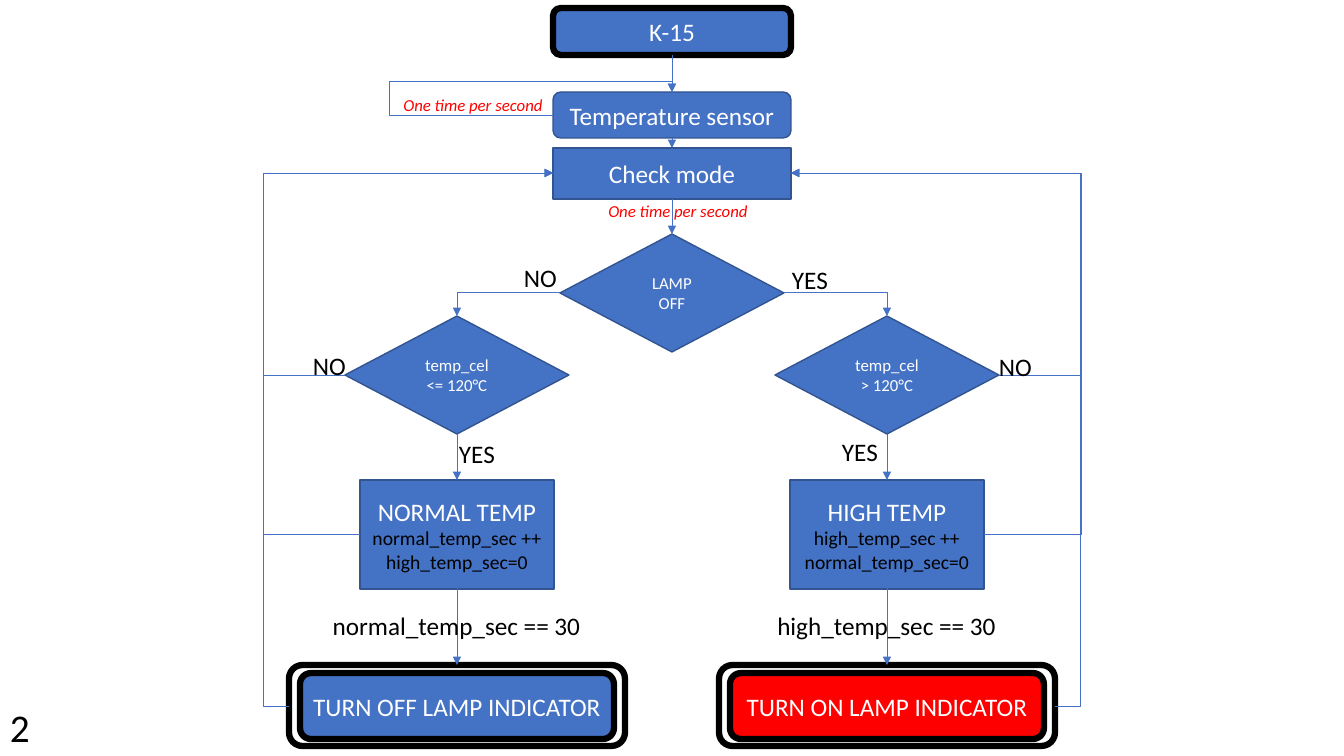
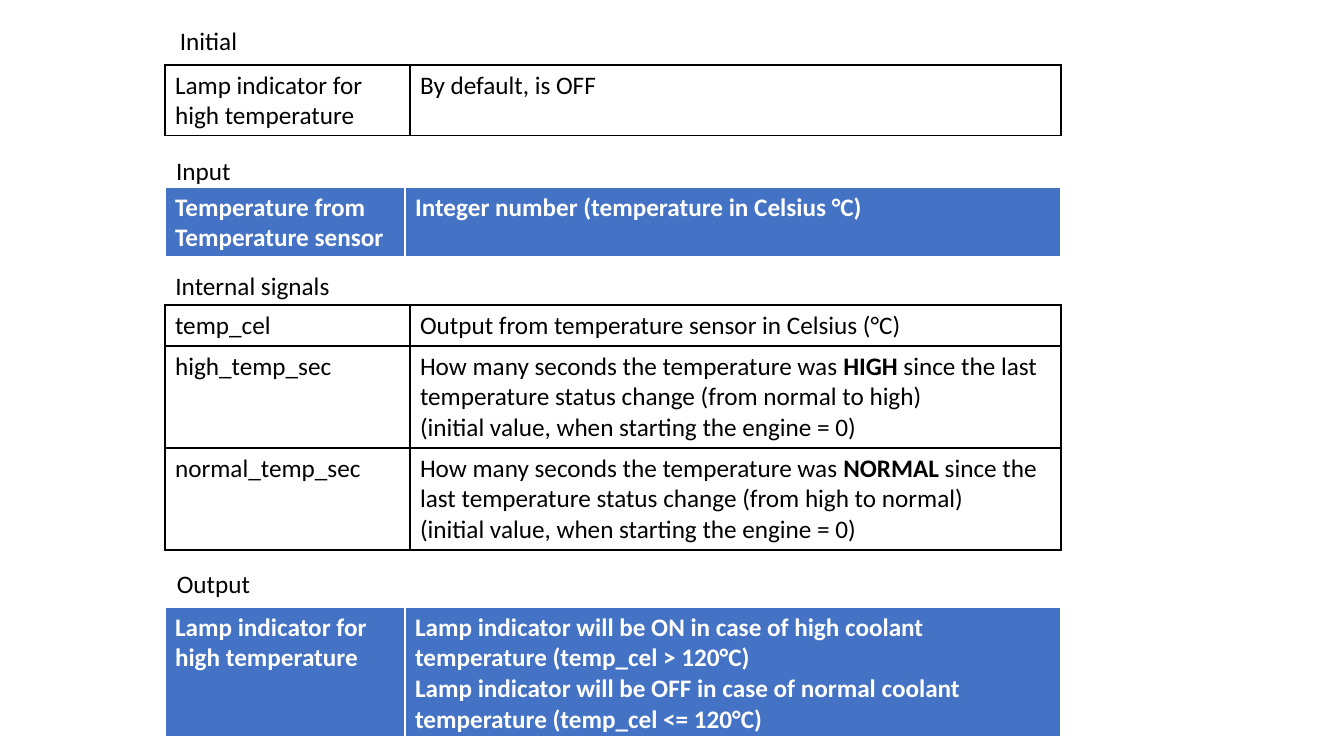
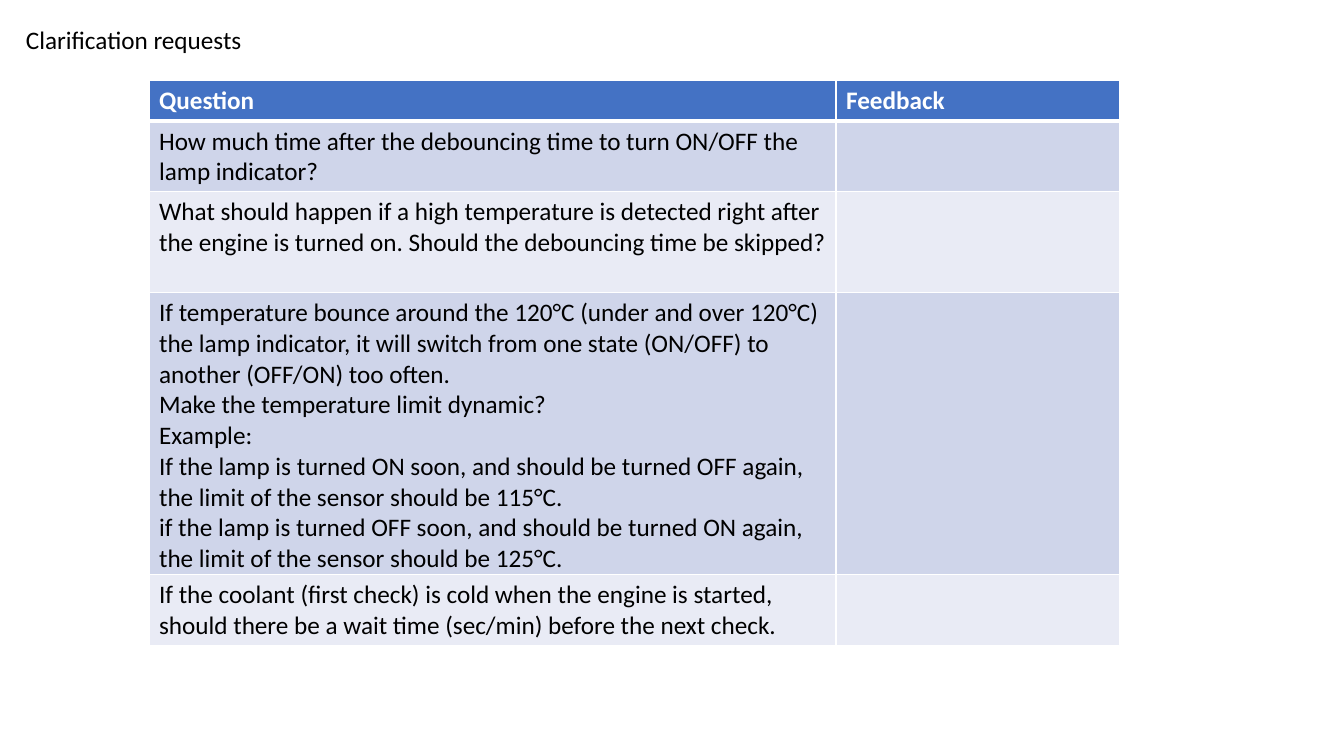
"""Build three slides on the high-temperature lamp: flowchart, signals and questions."""
from dataclasses import dataclass

from lxml import etree
from pptx import Presentation
from pptx.dml.color import RGBColor
from pptx.enum.shapes import MSO_CONNECTOR, MSO_SHAPE
from pptx.enum.text import MSO_ANCHOR, MSO_AUTO_SIZE, PP_ALIGN
from pptx.oxml.ns import qn
from pptx.util import Emu, Pt

ELBOW, STRAIGHT = MSO_CONNECTOR.ELBOW, MSO_CONNECTOR.STRAIGHT
RECTANGLE, ROUNDED = MSO_SHAPE.RECTANGLE, MSO_SHAPE.ROUNDED_RECTANGLE
DECISION = MSO_SHAPE.FLOWCHART_DECISION
MIDDLE, TOP = MSO_ANCHOR.MIDDLE, MSO_ANCHOR.TOP
CENTRED, LEFT = PP_ALIGN.CENTER, PP_ALIGN.LEFT
FIT_SHAPE = MSO_AUTO_SIZE.SHAPE_TO_FIT_TEXT
EMU_PER_PIXEL = 914400 / 100.8
SLIDE_SIZE = (1344, 756)


@dataclass(frozen=True)
class Theme:
    """Colours, font, type sizes and line widths shared by all slides."""
    font: str = "Calibri"
    black: str = "000000"
    white: str = "FFFFFF"
    red: str = "FF0000"
    blue: str = "4472C4"
    outline: str = "325491"
    band_dark: str = "CFD5EA"
    band_light: str = "E9EBF5"
    body: int = 18
    detail: int = 14
    small: int = 12
    number: int = 28
    thin: float = 0.5
    regular: float = 1
    rule: float = 3
    heavy: float = 4.5


THEME = Theme()


@dataclass(frozen=True)
class TextStyle:
    """Size, colour and emphasis of a piece of text."""
    size: int = THEME.body
    colour: str = THEME.black
    bold: bool = False
    italic: bool = False


BODY = TextStyle()
ON_BLUE = TextStyle(colour=THEME.white)
HEADER = TextStyle(colour=THEME.white, bold=True)
DETAIL = TextStyle(size=THEME.detail)
CONDITION = TextStyle(size=THEME.small, colour=THEME.white)
TIMING = TextStyle(size=THEME.small, colour=THEME.red, italic=True)
SLIDE_NUMBER = TextStyle(size=THEME.number)


@dataclass(frozen=True)
class Branch:
    """One side of the flowchart; side is -1 for left and 1 for right."""
    side: int
    condition: str
    state: str
    counters: str
    trigger: str
    result: str
    result_fill: str
    answer: tuple
    no_at: tuple
    yes_at: tuple


BRANCHES = (
    Branch(-1, "temp_cel\n<= 120°C", "NORMAL TEMP", "normal_temp_sec ++\nhigh_temp_sec=0",
           "normal_temp_sec == 30", "TURN OFF LAMP INDICATOR", THEME.blue,
           ("NO", 514, 257), (303, 345), (449, 433)),
    Branch(1, "temp_cel\n> 120°C", "HIGH TEMP", "high_temp_sec ++\nnormal_temp_sec=0",
           "high_temp_sec == 30", "TURN ON LAMP INDICATOR", THEME.red,
           ("YES", 782, 259), (989, 346), (832, 431)),
)

CENTRE = 672
COLUMN_OFFSET = 215
LOOP_OFFSET = 409
STEP_WIDTH = 238
DECISION_SIZE = (224, 118)
STATE_SIZE = (194, 109)
FRAME_SIZE = (336, 81)
RESULT_SIZE = (314, 66)
CHECK_MIDDLE = 173

DEFINITION_LEFT = 165
PLAIN_COLUMNS = (245, 651)
BANNER_COLUMNS = (240, 656)


def px(length):
    """Turn pixels into EMU."""
    return Emu(round(length * EMU_PER_PIXEL))


def rgb(colour):
    """Turn a hex string into a colour."""
    return RGBColor.from_string(colour)


def write_text(text_frame, text, styles, alignment):
    """Write one style per line, repeating the last; asterisks enclose bold words."""
    text_frame.text = text
    for index, paragraph in enumerate(text_frame.paragraphs):
        style = styles[min(index, len(styles) - 1)]
        pieces = paragraph.text.split("*")
        paragraph.text = pieces[0]
        paragraph.alignment = alignment
        for piece in pieces[1:]:
            paragraph.add_run().text = piece
        for position, run in enumerate(paragraph.runs):
            font = run.font
            font.name, font.size = THEME.font, Pt(style.size)
            font.color.rgb = rgb(style.colour)
            font.bold = style.bold or position % 2 == 1
            font.italic = style.italic


def add_label(slide, left, top, width, height, text, style=BODY, alignment=CENTRED, wrap=True):
    """Add a text box."""
    text_frame = slide.shapes.add_textbox(px(left), px(top), px(width), px(height)).text_frame
    text_frame.word_wrap = wrap
    text_frame.auto_size = FIT_SHAPE
    write_text(text_frame, text, (style,), alignment)


def add_node(slide, kind, centre, top, size, text="", styles=(ON_BLUE,), fill=THEME.blue,
             line=(THEME.outline, THEME.regular)):
    """Add a flowchart shape centred on a column."""
    width, height = size
    shape = slide.shapes.add_shape(kind, px(centre - width / 2), px(top), px(width), px(height))
    shape.shadow.inherit = False
    if fill:
        shape.fill.solid()
        shape.fill.fore_color.rgb = rgb(fill)
    else:
        shape.fill.background()
    colour, weight = line
    shape.line.color.rgb = rgb(colour)
    shape.line.width = Pt(weight)
    shape.text_frame.vertical_anchor = MIDDLE
    if text:
        write_text(shape.text_frame, text, styles, CENTRED)


def add_arrow(slide, start, end, kind=STRAIGHT):
    """Add a thin arrow between two points."""
    connector = slide.shapes.add_connector(kind, *map(px, start + end))
    connector.line.color.rgb = rgb(THEME.blue)
    connector.line.width = Pt(THEME.thin)
    properties = connector._element.spPr
    line = properties.find(qn("a:ln"))
    etree.SubElement(line, qn("a:tailEnd"), type="triangle")
    etree.SubElement(properties, qn("a:effectLst"))
    return connector


def add_elbow(slide, start, end, *turns):
    """Add a bent arrow; turns are the x and then y where it changes direction."""
    connector = add_arrow(slide, start, end, ELBOW)
    geometry = connector._element.spPr.find(qn("a:prstGeom"))
    geometry.set("prst", f"bentConnector{len(turns) + 2}")
    adjustments = geometry.find(qn("a:avLst"))
    for index, turn in enumerate(turns):
        share = (turn - start[index]) / (end[index] - start[index])
        etree.SubElement(adjustments, qn("a:gd"), name=f"adj{index + 1}",
                         fmla=f"val {round(share * 100000)}")


def set_borders(cell, colour, top, bottom):
    """Draw the four borders of a cell."""
    properties = cell._tc.get_or_add_tcPr()
    weights = {"lnL": THEME.regular, "lnR": THEME.regular, "lnT": top, "lnB": bottom}
    for index, (edge, weight) in enumerate(weights.items()):
        line = etree.Element(qn(f"a:{edge}"), w=str(Pt(weight)))
        fill = etree.SubElement(line, qn("a:solidFill"))
        etree.SubElement(fill, qn("a:srgbClr"), val=colour)
        properties.insert(index, line)


def add_grid(slide, left, top, columns, heights, rows, border, header=False, bands=()):
    """Add a table with an optional blue header row and alternating bands."""
    frame = slide.shapes.add_table(len(rows), len(columns), px(left), px(top),
                                   px(sum(columns)), px(sum(heights)))
    table = frame.table
    table.first_row = header
    table.horz_banding = bool(bands)
    for column, width in zip(table.columns, columns):
        column.width = px(width)
    above = THEME.regular
    for index, (row, height, texts) in enumerate(zip(table.rows, heights, rows)):
        row.height = px(height)
        is_header = header and index == 0
        below = THEME.rule if is_header else THEME.regular
        fill = THEME.blue if is_header else bands[(index - 1) % len(bands)] if bands else None
        for cell, text in zip(row.cells, texts):
            if fill:
                cell.fill.solid()
                cell.fill.fore_color.rgb = rgb(fill)
            else:
                cell.fill.background()
            set_borders(cell, border, above, below)
            cell.vertical_anchor = TOP
            write_text(cell.text_frame, text, (HEADER if is_header else BODY,), LEFT)
        above = below


def add_branch(slide, branch):
    """Draw one side of the flowchart from its condition down to its result."""
    column = CENTRE + branch.side * COLUMN_OFFSET
    add_node(slide, DECISION, column, 316, DECISION_SIZE, branch.condition, (CONDITION,))
    add_node(slide, RECTANGLE, column, 480, STATE_SIZE,
             f"{branch.state}\n{branch.counters}", (ON_BLUE, DETAIL))
    heavy = (THEME.black, THEME.heavy)
    add_node(slide, ROUNDED, column, 673, RESULT_SIZE, branch.result,
             fill=branch.result_fill, line=heavy)
    add_node(slide, ROUNDED, column, 665, FRAME_SIZE, fill=None, line=heavy)

    add_elbow(slide, (CENTRE + branch.side * DECISION_SIZE[0] / 2, 292), (column, 316))
    add_arrow(slide, (column, 434), (column, 480))
    add_arrow(slide, (column, 588), (column, 665))
    target = (CENTRE + branch.side * STEP_WIDTH / 2, CHECK_MIDDLE)
    for (width, _), middle in ((DECISION_SIZE, 375), (STATE_SIZE, 534), (FRAME_SIZE, 706)):
        add_elbow(slide, (column + branch.side * width / 2, middle), target,
                  CENTRE + branch.side * LOOP_OFFSET)

    add_label(slide, column - 140, 605, 279, 40, branch.trigger)
    for text, left, top in (branch.answer, ("NO", *branch.no_at), ("YES", *branch.yes_at)):
        add_label(slide, left, top, 53 if text == "NO" else 56, 40, text,
                  alignment=LEFT, wrap=False)


def build_flowchart(slide):
    """Draw the lamp control flowchart."""
    add_node(slide, ROUNDED, CENTRE, 8, (STEP_WIDTH, 47), "K-15",
             line=(THEME.black, THEME.heavy))
    add_node(slide, ROUNDED, CENTRE, 92, (STEP_WIDTH, 46), "Temperature sensor")
    add_node(slide, RECTANGLE, CENTRE, 148, (STEP_WIDTH, 51), "Check mode")
    add_node(slide, DECISION, CENTRE, 234, DECISION_SIZE, "LAMP\nOFF", (CONDITION,))
    for start, end in ((55, 92), (138, 148), (199, 234)):
        add_arrow(slide, (CENTRE, start), (CENTRE, end))
    add_elbow(slide, (CENTRE - STEP_WIDTH / 2, 115), (CENTRE, 92), 389, 81)
    for left, top in ((386, 90), (591, 196)):
        add_label(slide, left, top, 174, 30, "One time per second", TIMING)
    for branch in BRANCHES:
        add_branch(slide, branch)
    add_label(slide, 0, 698, 39, 57, "2", SLIDE_NUMBER)


def build_signals(slide):
    """List the initial state, input, internal signals and output."""
    for text, top, width in (("Initial", 20, 87), ("Input", 150, 77),
                             ("Internal signals", 265, 175), ("Output", 563, 97)):
        add_label(slide, DEFINITION_LEFT, top, width, 40, text)
    initial = [("Lamp indicator for high temperature", "By default, is OFF")]
    signals = [
        ("temp_cel", "Output from temperature sensor in Celsius (°C)"),
        ("high_temp_sec",
         "How many seconds the temperature was *HIGH* since the last temperature status "
         "change (from normal to high)\n(initial value, when starting the engine = 0)"),
        ("normal_temp_sec",
         "How many seconds the temperature was *NORMAL* since the last temperature status "
         "change (from high to normal)\n(initial value, when starting the engine = 0)"),
    ]
    sensor = [("Temperature from Temperature sensor",
               "Integer number (temperature in Celsius °C)")]
    lamp = [("Lamp indicator for high temperature",
             "Lamp indicator will be ON in case of high coolant temperature "
             "(temp_cel > 120°C)\nLamp indicator will be OFF in case of normal coolant "
             "temperature (temp_cel <= 120°C)")]
    for top, heights, rows in ((65, (70,), initial), (305, (41, 102, 102), signals)):
        add_grid(slide, DEFINITION_LEFT, top, PLAIN_COLUMNS, heights, rows, THEME.black)
    for top, heights, rows in ((187, (70,), sensor), (607, (131,), lamp)):
        add_grid(slide, DEFINITION_LEFT, top, BANNER_COLUMNS, heights, rows, THEME.white,
                 header=True)


def build_questions(slide):
    """List the open questions with room for feedback."""
    add_label(slide, 16, 19, 239, 40, "Clarification requests", alignment=LEFT, wrap=False)
    questions = (
        "How much time after the debouncing time to turn ON/OFF the lamp indicator?",
        "What should happen if a high temperature is detected right after the engine is "
        "turned on. Should the debouncing time be skipped?",
        "If temperature bounce around the 120°C (under and over 120°C) the lamp indicator, "
        "it will switch from one state (ON/OFF) to another (OFF/ON) too often.\n"
        "Make the temperature limit dynamic?\nExample:\n"
        "If the lamp is turned ON soon, and should be turned OFF again, the limit of the "
        "sensor should be 115°C.\n"
        "if the lamp is turned OFF soon, and should be turned ON again, the limit of the "
        "sensor should be 125°C.",
        "If the coolant (first check) is cold when the engine is started, should there be "
        "a wait time (sec/min) before the next check.",
    )
    rows = [("Question", "Feedback")] + [(question, "") for question in questions]
    add_grid(slide, 149, 80, (687, 284), (41, 70, 101, 282, 71), rows, THEME.white,
             header=True, bands=(THEME.band_dark, THEME.band_light))


def main():
    """Build and save the presentation."""
    presentation = Presentation()
    presentation.slide_width, presentation.slide_height = map(px, SLIDE_SIZE)
    blank = presentation.slide_layouts[6]
    for build in (build_flowchart, build_signals, build_questions):
        build(presentation.slides.add_slide(blank))
    presentation.save("out.pptx")


main()
